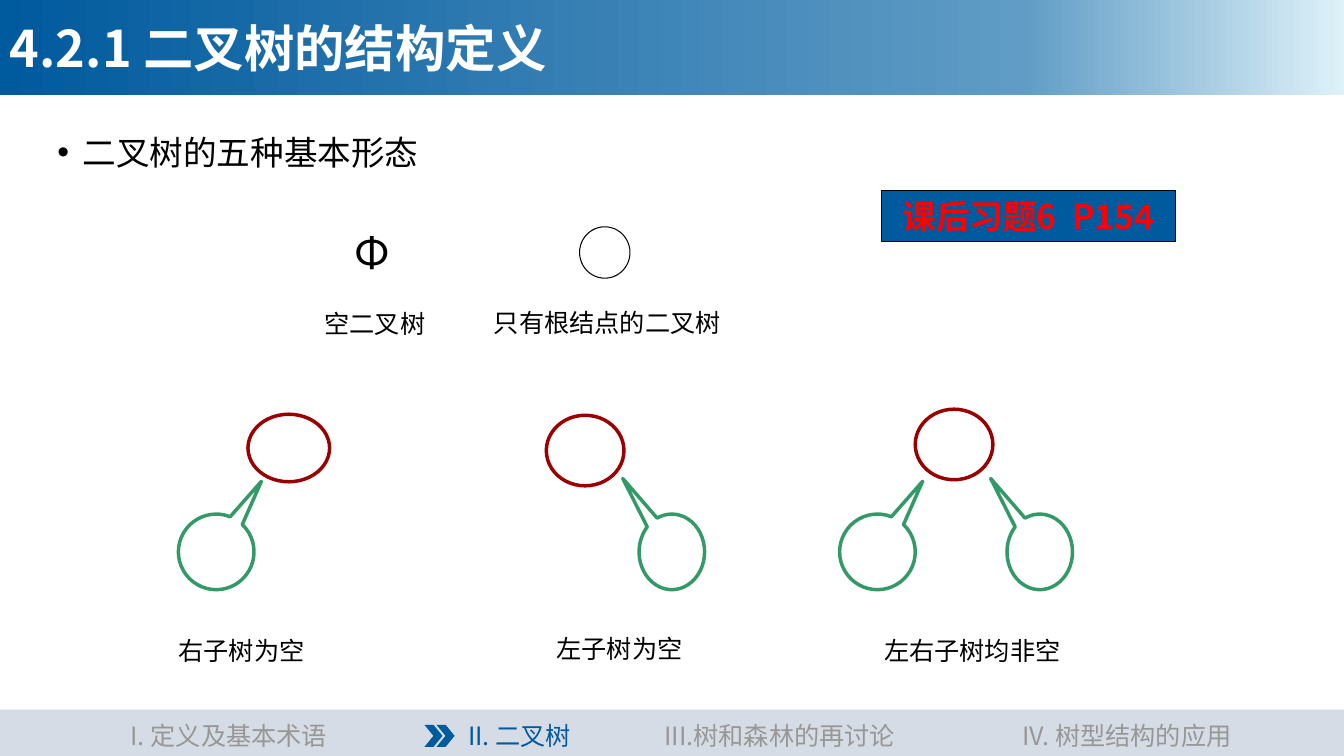
import lxml.etree
import copy
import pptx
import pptx.dml.color
import pptx.enum.shapes
import pptx.enum.text
import pptx.oxml.ns
import pptx.util

RGBColor = pptx.dml.color.RGBColor
SHAPE = pptx.enum.shapes.MSO_SHAPE
ALIGN = pptx.enum.text.PP_ALIGN
ANCHOR = pptx.enum.text.MSO_ANCHOR
qn = pptx.oxml.ns.qn

CELL = pptx.util.Inches(0.1)
COLUMNS, ROWS = 133.33, 75
CHINESE_FONT = "Noto Sans CJK SC"
BLACK = RGBColor(0x00, 0x00, 0x00)
WHITE = RGBColor(0xFF, 0xFF, 0xFF)
BLUE = RGBColor(0x00, 0x5A, 0x9E)
MID_BLUE = RGBColor(0x60, 0x9C, 0xC5)
PALE_BLUE = RGBColor(0xDE, 0xF1, 0xF9)
RED = RGBColor(0xFF, 0x00, 0x00)
DARK_RED = RGBColor(0x99, 0x00, 0x00)
GREEN = RGBColor(0x33, 0x99, 0x66)
GREY = RGBColor(0x97, 0x97, 0x97)
FOOTER_GREY = RGBColor(0xD6, 0xDC, 0xE5)
CHILD_ROW, CHILD_HEIGHT = 51, 7.5


def cells(*lengths):
    """Turn columns and rows of the grid into slide lengths."""
    return [round(length * CELL) for length in lengths]


def write(shape, text, size=18, color=BLACK, font=CHINESE_FONT, bold=False,
          align=ALIGN.CENTER, anchor=ANCHOR.TOP, wrap=True, bullet=None, spacing=None):
    """Write one formatted paragraph into a shape."""
    frame = shape.text_frame
    frame.word_wrap = wrap
    frame.vertical_anchor = anchor
    para = frame.paragraphs[0]
    para.alignment = align
    if spacing:
        para.line_spacing = spacing
    if bullet:
        properties = para._p.get_or_add_pPr()
        indent = pptx.util.Inches(0.25)
        properties.set("marL", str(indent))
        properties.set("indent", str(-indent))
        lxml.etree.SubElement(properties, qn("a:buFont")).set("typeface", "Arial")
        lxml.etree.SubElement(properties, qn("a:buChar")).set("char", bullet)
    span = para.add_run()
    span.text = text
    span.font.size = pptx.util.Pt(size)
    span.font.bold = bold
    span.font.color.rgb = color
    span.font.name = font
    lxml.etree.SubElement(span._r.get_or_add_rPr(), qn("a:ea")).set("typeface", font)


def add_label(page, text, at, **style):
    """Add a text box with one paragraph."""
    box = page.shapes.add_textbox(*cells(*at))
    write(box, text, **style)


def add_figure(page, kind, at, fill=None, line=None, width=2.5, adjust=()):
    """Add a flat preset shape."""
    shape = page.shapes.add_shape(kind, *cells(*at))
    shape.shadow.inherit = False
    if fill is None:
        shape.fill.background()
    else:
        shape.fill.solid()
        shape.fill.fore_color.rgb = fill
    if line is None:
        shape.line.fill.background()
    else:
        shape.line.color.rgb = line
        shape.line.width = pptx.util.Pt(width)
    for index, value in enumerate(adjust):
        shape.adjustments[index] = value
    return shape


def add_tree(page, root, left=None, right=None):
    """Draw a root node with subtrees starting at the given columns."""
    add_figure(page, SHAPE.OVAL, root, WHITE, DARK_RED)
    subtrees = ((left, 7.5, (0.598, -0.934)), (right, 6.5, (-0.75, -0.971)))
    for column, width, pointer in subtrees:
        if column is not None:
            add_figure(page, SHAPE.OVAL_CALLOUT, (column, CHILD_ROW, width, CHILD_HEIGHT),
                       WHITE, GREEN, adjust=pointer)


def add_header(page, title):
    """Draw the title bar with its three-stop gradient."""
    bar = add_figure(page, SHAPE.RECTANGLE, (0, 0, COLUMNS, 9.4))
    bar.fill.gradient()
    bar.fill.gradient_angle = 0
    stop_list = bar._element.spPr.find(".//" + qn("a:gsLst"))
    stop_list.append(copy.deepcopy(stop_list[-1]))
    stops = ((0, BLUE), (0.76, MID_BLUE), (1, PALE_BLUE))
    for stop, (position, color) in zip(bar.fill.gradient_stops, stops):
        stop.position = position
        stop.color.rgb = color
    write(bar, title, size=36, color=WHITE, bold=True, align=ALIGN.LEFT, anchor=ANCHOR.MIDDLE)


def add_footer(page):
    """Draw the chapter bar and mark the current section."""
    add_figure(page, SHAPE.RECTANGLE, (0, 70.4, COLUMNS, 4.6), FOOTER_GREY)
    sections = (("I. 定义及基本术语", 4.3, 36.8, GREY), ("II. 二叉树", 40.4, 22.3, BLUE),
                ("III.树和森林的再讨论", 62.8, 29.1, GREY), ("IV. 树型结构的应用", 99.6, 24.4, GREY))
    for text, column, width, color in sections:
        add_label(page, text, (column, 71, width, 4), color=color)
    for column in (43.3, 42.1):
        add_figure(page, SHAPE.CHEVRON, (column, 71.9, 1.8, 2.2), BLUE)


def main():
    """Build the slide and save the deck."""
    deck = pptx.Presentation()
    deck.slide_width, deck.slide_height = cells(COLUMNS, ROWS)
    page = deck.slides.add_slide(deck.slide_layouts[6])

    add_label(page, "二叉树的五种基本形态", (4.7, 13, 62.7, 5.9), size=24,
              align=ALIGN.LEFT, bullet="•", spacing=0.9)
    add_figure(page, SHAPE.OVAL, (57.5, 22.5, 5, 5.1), line=BLACK, width=0.75)
    add_label(page, "Φ", (34.2, 21.6, 5.4, 6.4), size=32, font="Calibri",
              anchor=ANCHOR.MIDDLE, wrap=False)

    captions = (("空二叉树", 31.2, 30.1, 12), ("只有根结点的二叉树", 48, 30, 24.5),
                ("右子树为空", 16.7, 62.5, 14.5), ("左子树为空", 54.2, 62.3, 14.5),
                ("左右子树均非空", 86.7, 62.5, 19.5))
    for text, column, row, width in captions:
        add_label(page, text, (column, row, width, 4), wrap=False)

    add_tree(page, (24.6, 41.1, 8.1, 6.7), left=17.7)
    add_tree(page, (54.2, 41.2, 7.7, 7), right=63.4)
    add_tree(page, (90.8, 40.6, 7.7, 7), left=83.3, right=99.9)

    exercise = add_figure(page, SHAPE.RECTANGLE, (87.4, 18.9, 29.2, 5), BLUE, BLACK, 0.25)
    write(exercise, "课后习题6  P154", size=24, color=RED, bold=True)
    add_header(page, "4.2.1 二叉树的结构定义")
    add_footer(page)
    deck.save("out.pptx")


if __name__ == "__main__":
    main()
